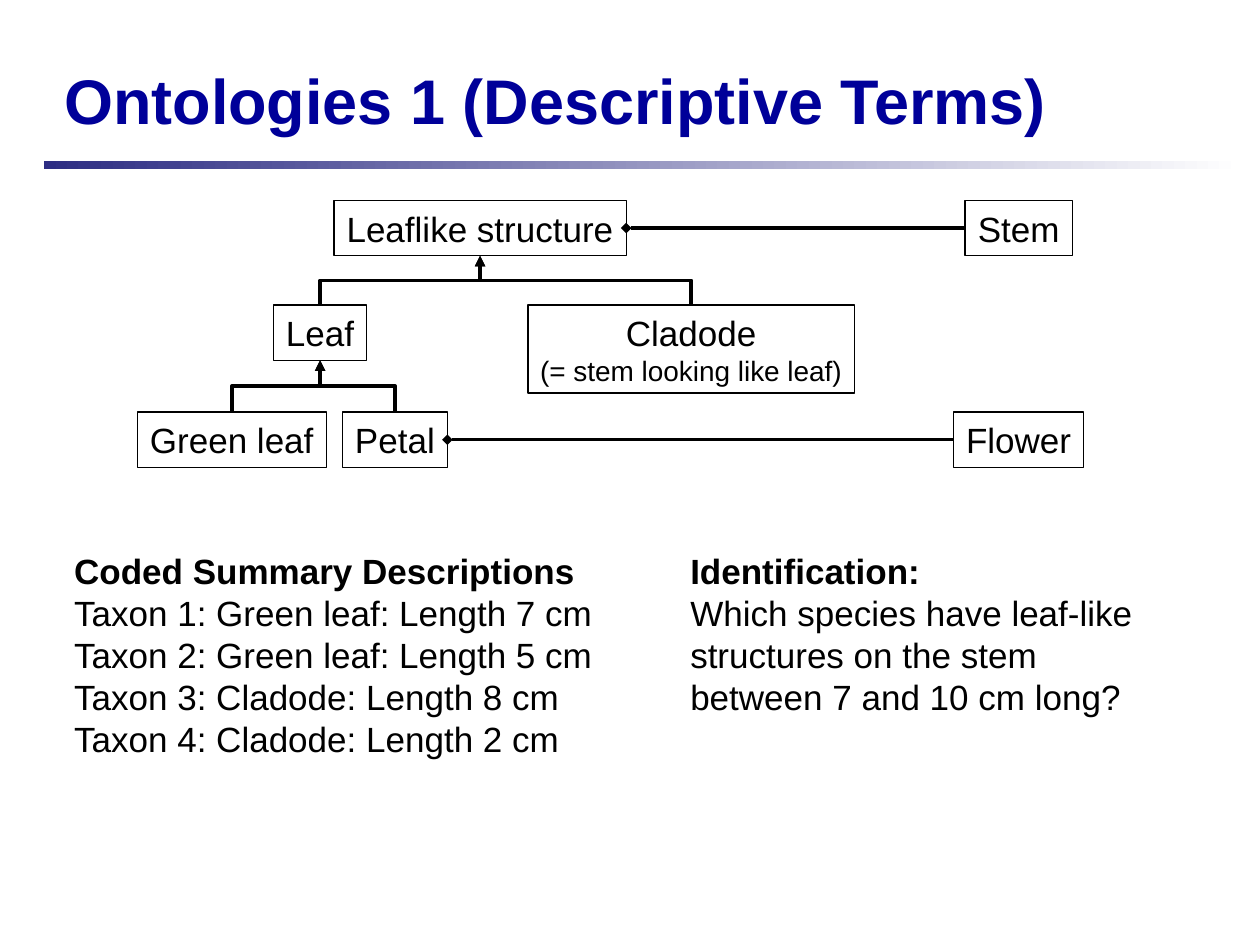
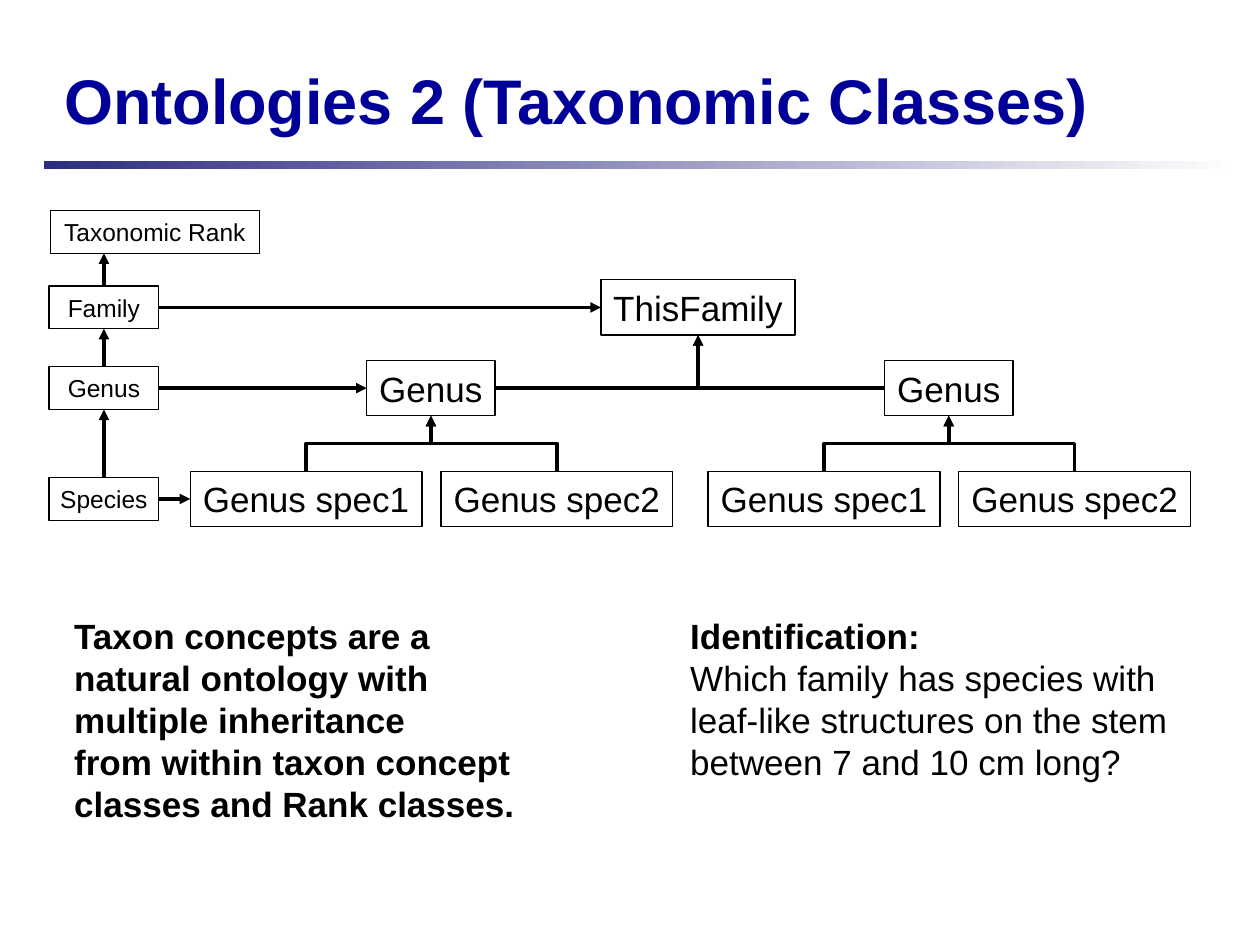
from dataclasses import dataclass
from typing import Optional

from lxml.etree import SubElement
from pptx import Presentation
from pptx.dml.color import RGBColor
from pptx.enum.shapes import MSO_CONNECTOR, MSO_SHAPE
from pptx.enum.text import MSO_ANCHOR, MSO_AUTO_SIZE, PP_ALIGN
from pptx.oxml.ns import qn
from pptx.shapes.autoshape import Shape
from pptx.shapes.connector import Connector
from pptx.slide import Slide
from pptx.text.text import TextFrame
from pptx.util import Inches, Pt

FONT = "Arial"
BLACK = "000000"
TITLE_BLUE = "000099"
BAND_BLUE = "2D2D83"
WHITE = "FFFFFF"
TOP, LEFT, BOTTOM, RIGHT = range(4)
TERM_HEIGHT = 0.44
RANK_HEIGHT = 0.34


@dataclass
class Term:
    text: str
    left: float
    top: float
    width: float
    height: float = TERM_HEIGHT
    size: int = 20


@dataclass
class Passage:
    heading: str
    body: str
    left: float
    top: float
    width: float
    height: float


def color(value: str) -> RGBColor:
    return RGBColor.from_string(value)


def write(frame: TextFrame, text: str, *, size: int = 20, ink: str = BLACK,
          bold: bool = False, align: PP_ALIGN = PP_ALIGN.LEFT,
          anchor: MSO_ANCHOR = MSO_ANCHOR.TOP, wrap: bool = False,
          append: bool = False, small_size: Optional[int] = None) -> None:
    frame.word_wrap = wrap
    frame.auto_size = MSO_AUTO_SIZE.NONE
    frame.vertical_anchor = anchor
    paragraph = frame.add_paragraph() if append else frame.paragraphs[0]
    paragraph.alignment = align
    for index, line in enumerate(text.split("\n")):
        if index:
            paragraph.add_line_break()
        run = paragraph.add_run()
        run.text = line
        run.font.name = FONT
        run.font.size = Pt(small_size if index and small_size else size)
        run.font.bold = bold
        run.font.color.rgb = color(ink)


def add_text_shadow(frame: TextFrame) -> None:
    for run in frame.paragraphs[0].runs:
        fill = run.font._element.find(qn("a:solidFill"))
        effects = SubElement(run.font._element, qn("a:effectLst"))
        fill.addnext(effects)
        shadow = SubElement(effects, qn("a:outerShdw"), dist="28575", dir="2700000")
        SubElement(shadow, qn("a:srgbClr"), val="C0C0C0")


def add_titled_slide(deck: Presentation, heading: str) -> Slide:
    slide = deck.slides.add_slide(deck.slide_layouts[5])
    title = slide.shapes.title
    title.left, title.top = Inches(0.41), Inches(0.43)
    title.width, title.height = Inches(9.27), Inches(0.71)
    write(title.text_frame, heading, size=36, ink=TITLE_BLUE, bold=True,
          anchor=MSO_ANCHOR.BOTTOM, wrap=True)
    add_text_shadow(title.text_frame)
    band = slide.shapes.add_shape(MSO_SHAPE.RECTANGLE, Inches(0.35), Inches(1.28),
                                  Inches(9.51), Inches(0.06))
    band.shadow.inherit = False
    band.line.fill.background()
    band.fill.gradient()
    band.fill.gradient_angle = 0
    for stop, shade in zip(band.fill.gradient_stops, (BAND_BLUE, WHITE)):
        stop.color.rgb = color(shade)
    return slide


def add_term(slide: Slide, term: Term) -> Shape:
    box = slide.shapes.add_shape(MSO_SHAPE.RECTANGLE, Inches(term.left), Inches(term.top),
                                 Inches(term.width), Inches(term.height))
    box.shadow.inherit = False
    box.fill.background()
    box.line.color.rgb = color(BLACK)
    box.line.width = Pt(0.75)
    write(box.text_frame, term.text, size=term.size, small_size=16,
          align=PP_ALIGN.CENTER, anchor=MSO_ANCHOR.MIDDLE)
    return box


def add_passage(slide: Slide, passage: Passage) -> None:
    frame = slide.shapes.add_textbox(Inches(passage.left), Inches(passage.top),
                                     Inches(passage.width), Inches(passage.height)).text_frame
    write(frame, passage.heading, bold=True)
    if passage.body:
        write(frame, passage.body, append=True)


def style_link(link: Connector, head: str) -> None:
    link.line.color.rgb = color(BLACK)
    link.line.width = Pt(2)
    SubElement(link.line._get_or_add_ln(), qn("a:headEnd"), type=head)
    SubElement(link._element.spPr, qn("a:effectLst"))


def link_straight(slide: Slide, target: Shape, target_side: int, source: Shape,
                  source_side: int, head: str = "triangle") -> None:
    link = slide.shapes.add_connector(MSO_CONNECTOR.STRAIGHT, 0, 0, 0, 0)
    link.begin_connect(target, target_side)
    link.end_connect(source, source_side)
    style_link(link, head)


def link_elbow(slide: Slide, parent: Shape, child: Shape, child_side: int = TOP) -> None:
    link = slide.shapes.add_connector(MSO_CONNECTOR.ELBOW, 0, 0, 0, 0)
    link.begin_connect(parent, BOTTOM)
    link.end_connect(child, child_side)
    start_x, start_y, end_x, end_y = link.begin_x, link.begin_y, link.end_x, link.end_y
    across, down = abs(end_x - start_x), end_y - start_y
    link.left = (start_x + end_x - down) // 2
    link.top = (start_y + end_y - across) // 2
    link.width, link.height = down, across
    rightward = end_x > start_x
    frame = link._element.spPr.find(qn("a:xfrm"))
    frame.set("rot", "16200000" if rightward else "5400000")
    frame.set("flipH", "1" if rightward else "0")
    frame.set("flipV", "0")
    if child_side != TOP:
        link._element.spPr.find(qn("a:prstGeom")).set("prst", "bentConnector2")
    style_link(link, "triangle")


def build_descriptive_terms(deck: Presentation) -> None:
    slide = add_titled_slide(deck, "Ontologies 1 (Descriptive Terms)")
    top_row, middle_row, bottom_row = 1.59, 2.42, 3.27
    leaflike = add_term(slide, Term("Leaflike structure", 2.65, top_row, 2.32))
    stem = add_term(slide, Term("Stem", 7.66, top_row, 0.85))
    leaf = add_term(slide, Term("Leaf", 2.17, middle_row, 0.74))
    cladode = add_term(slide, Term("Cladode\n(= stem looking like leaf)",
                                   4.19, middle_row, 2.59, 0.7))
    green_leaf = add_term(slide, Term("Green leaf", 1.09, bottom_row, 1.5))
    petal = add_term(slide, Term("Petal", 2.72, bottom_row, 0.83))
    flower = add_term(slide, Term("Flower", 7.57, bottom_row, 1.03))

    for parent, children in ((leaflike, (leaf, cladode)), (leaf, (green_leaf, petal))):
        for child in children:
            link_elbow(slide, parent, child)
    for part, whole in ((leaflike, stem), (petal, flower)):
        link_straight(slide, part, RIGHT, whole, LEFT, head="diamond")

    add_passage(slide, Passage(
        "Coded Summary Descriptions",
        "Taxon 1: Green leaf: Length 7 cm\nTaxon 2: Green leaf: Length 5 cm\n"
        "Taxon 3: Cladode: Length 8 cm\nTaxon 4: Cladode: Length 2 cm",
        0.49, 4.31, 4.34, 1.77))
    add_passage(slide, Passage(
        "Identification:",
        "Which species have leaf-like\nstructures on the stem\nbetween 7 and 10 cm long?",
        5.38, 4.31, 3.79, 1.44))


def build_taxonomic_classes(deck: Presentation) -> None:
    slide = add_titled_slide(deck, "Ontologies 2 (Taxonomic Classes)")
    add_term(slide, Term("Taxonomic Rank", 0.4, 1.67, 1.66, RANK_HEIGHT, 14))
    family_rank, genus_rank, species_rank = (
        add_term(slide, Term(rank, 0.39, top, 0.87, RANK_HEIGHT, 14))
        for rank, top in (("Family", 2.27), ("Genus", 2.91), ("Species", 3.79)))
    this_family = add_term(slide, Term("ThisFamily", 4.77, 2.22, 1.54))

    genera, species = [], []
    for genus_left, side in ((2.91, RIGHT), (7.02, LEFT)):
        genus = add_term(slide, Term("Genus", genus_left, 2.86, 1.02))
        link_elbow(slide, this_family, genus, side)
        genera.append(genus)
        for name, offset in (("Genus spec1", -1.4), ("Genus spec2", 0.59)):
            member = add_term(slide, Term(name, genus_left + offset, 3.74, 1.84))
            link_elbow(slide, genus, member)
            species.append(member)

    rank_axis = family_rank.left + family_rank.width // 2
    to_rank = slide.shapes.add_connector(MSO_CONNECTOR.STRAIGHT, rank_axis, Inches(2.01),
                                         rank_axis, family_rank.top)
    to_rank.end_connect(family_rank, TOP)
    style_link(to_rank, "triangle")
    for upper, lower in ((family_rank, genus_rank), (genus_rank, species_rank)):
        link_straight(slide, upper, BOTTOM, lower, TOP)
    for taxon, rank in ((this_family, family_rank), (genera[0], genus_rank),
                        (species[0], species_rank)):
        link_straight(slide, taxon, LEFT, rank, RIGHT)

    add_passage(slide, Passage(
        "Taxon concepts are a\nnatural ontology with\nmultiple inheritance\n"
        "from within taxon concept\nclasses and Rank classes.", "",
        0.49, 4.83, 3.69, 1.77))
    add_passage(slide, Passage(
        "Identification:",
        "Which family has species with\nleaf-like structures on the stem\n"
        "between 7 and 10 cm long?",
        5.38, 4.83, 4.06, 1.44))


def main() -> None:
    deck = Presentation()
    deck.slide_width, deck.slide_height = Inches(10), Inches(7.5)
    build_descriptive_terms(deck)
    build_taxonomic_classes(deck)
    deck.save("out.pptx")


if __name__ == "__main__":
    main()
